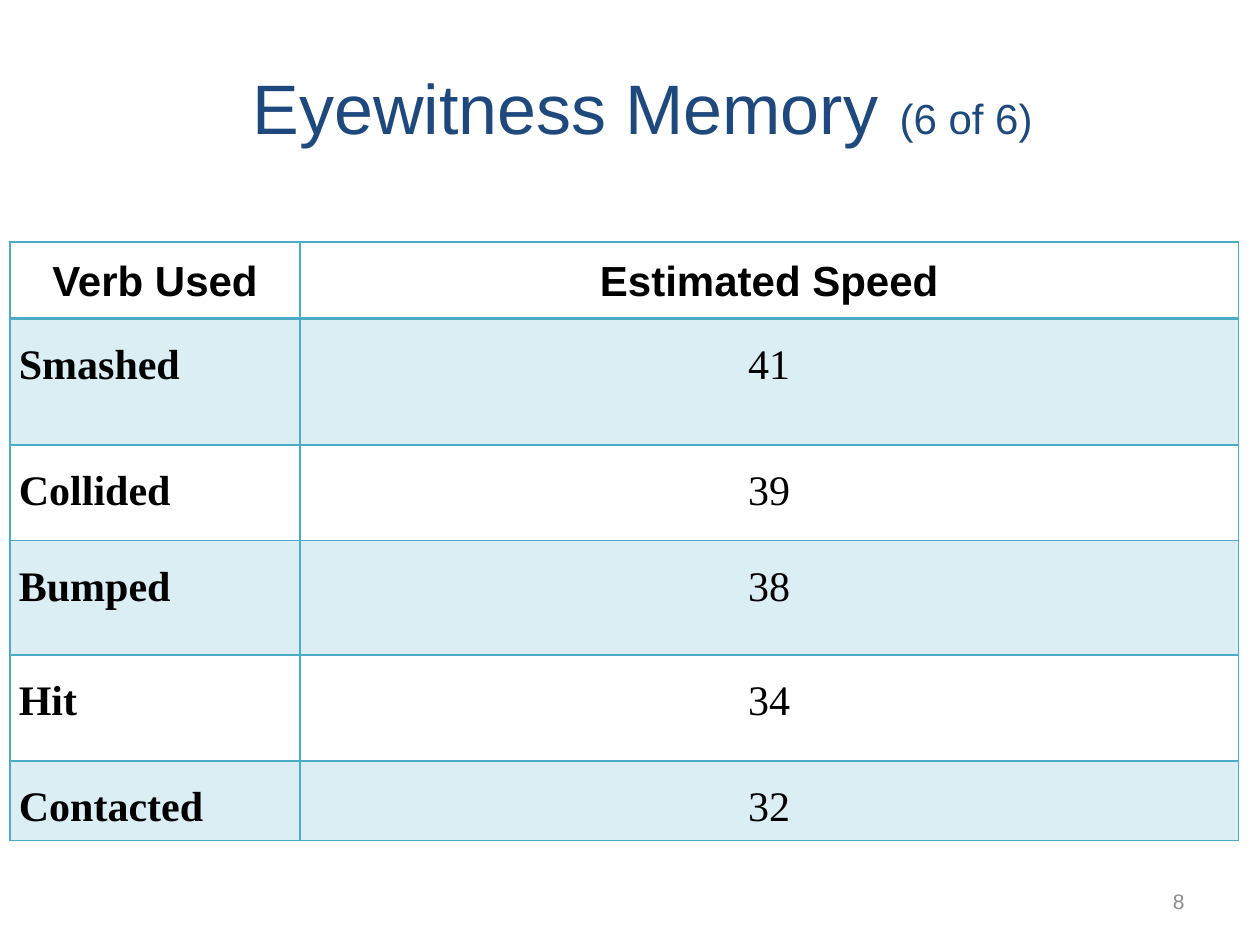
from pptx import Presentation
from pptx.dml.color import RGBColor
from pptx.enum.text import MSO_ANCHOR, PP_ALIGN
from pptx.oxml.ns import qn
from pptx.util import Inches, Pt
from lxml import etree

NAVY = RGBColor(0x1F, 0x49, 0x7D)
TEAL = RGBColor(0x4B, 0xAC, 0xC6)
GRAY = RGBColor(0x8C, 0x8C, 0x8C)
BLACK = RGBColor(0, 0, 0)


def write(para, words, size, color, face="Arial", bold=False):
    run = para.add_run()
    run.text = words
    look = {"size": Pt(size), "name": face, "bold": bold}
    for key, value in look.items():
        setattr(run.font, key, value)
    run.font.color.rgb = color


def border(cell, side, width):
    """Draw one side (L, R, T or B) of a cell; width is in points."""
    line = etree.SubElement(cell._tc.get_or_add_tcPr(), qn(f"a:ln{side}"), w=str(Pt(width)))
    fill = etree.SubElement(line, qn("a:solidFill"))
    etree.SubElement(fill, qn("a:srgbClr"), val=str(TEAL))


prs = Presentation()
prs.slide_width, prs.slide_height = Inches(10), Inches(7.5)
slide = prs.slides.add_slide(prs.slide_layouts[6])

# Title and page number
boxes = [
    ((0.6, 0.2, 9, 1.25), PP_ALIGN.CENTER, NAVY,
     [("Eyewitness Memory", 40), (" ", 44), ("(6 of 6)", 24)]),
    ((9, 6.95, 0.5, 0.4), PP_ALIGN.RIGHT, GRAY, [("8", 12)]),
]
for place, align, color, runs in boxes:
    frame = slide.shapes.add_textbox(*map(Inches, place)).text_frame
    frame.word_wrap = True
    frame.vertical_anchor = MSO_ANCHOR.MIDDLE
    para = frame.paragraphs[0]
    para.alignment = align
    for words, size in runs:
        write(para, words, size, color)

# Speed table
data = [("Verb Used", "Estimated Speed"), ("Smashed", "41"), ("Collided", "39"),
        ("Bumped", "38"), ("Hit", "34"), ("Contacted", "32")]
widths = [2.3, 7.45]
heights = [0.61, 1, 0.76, 0.91, 0.84, 0.63]
table = slide.shapes.add_table(len(data), 2, Inches(0.08), Inches(1.92),
                               Inches(sum(widths)), Inches(sum(heights))).table
table.horz_banding = False
for col, width in zip(table.columns, widths):
    col.width = Inches(width)
for r, (row, height) in enumerate(zip(data, heights)):
    table.rows[r].height = Inches(height)
    head = r == 0
    for c, words in enumerate(row):
        cell = table.cell(r, c)
        pads = {"margin_left": 0.07, "margin_right": 0.07, "margin_top": 0, "margin_bottom": 0}
        for key, value in pads.items():
            setattr(cell, key, Inches(value))
        cell.vertical_anchor = MSO_ANCHOR.MIDDLE if head else MSO_ANCHOR.TOP
        for side in "LRTB":
            thick = (r, side) in [(0, "B"), (1, "T")]
            border(cell, side, 2 if thick else 1)
        if r % 2:
            cell.fill.solid()
            cell.fill.fore_color.rgb = TEAL
            tint = cell._tc.tcPr.find(qn("a:solidFill")).find(qn("a:srgbClr"))
            etree.SubElement(tint, qn("a:alpha"), val="20000")
        else:
            cell.fill.background()
        para = cell.text_frame.paragraphs[0]
        para.alignment = PP_ALIGN.CENTER if head or c else PP_ALIGN.LEFT
        para.line_spacing = 1.07 if head else 1.5
        para.space_after = Pt(0 if head else 12)
        write(para, words, 24, BLACK, "Arial" if head else "Times New Roman", head or c == 0)

prs.save("out.pptx")
